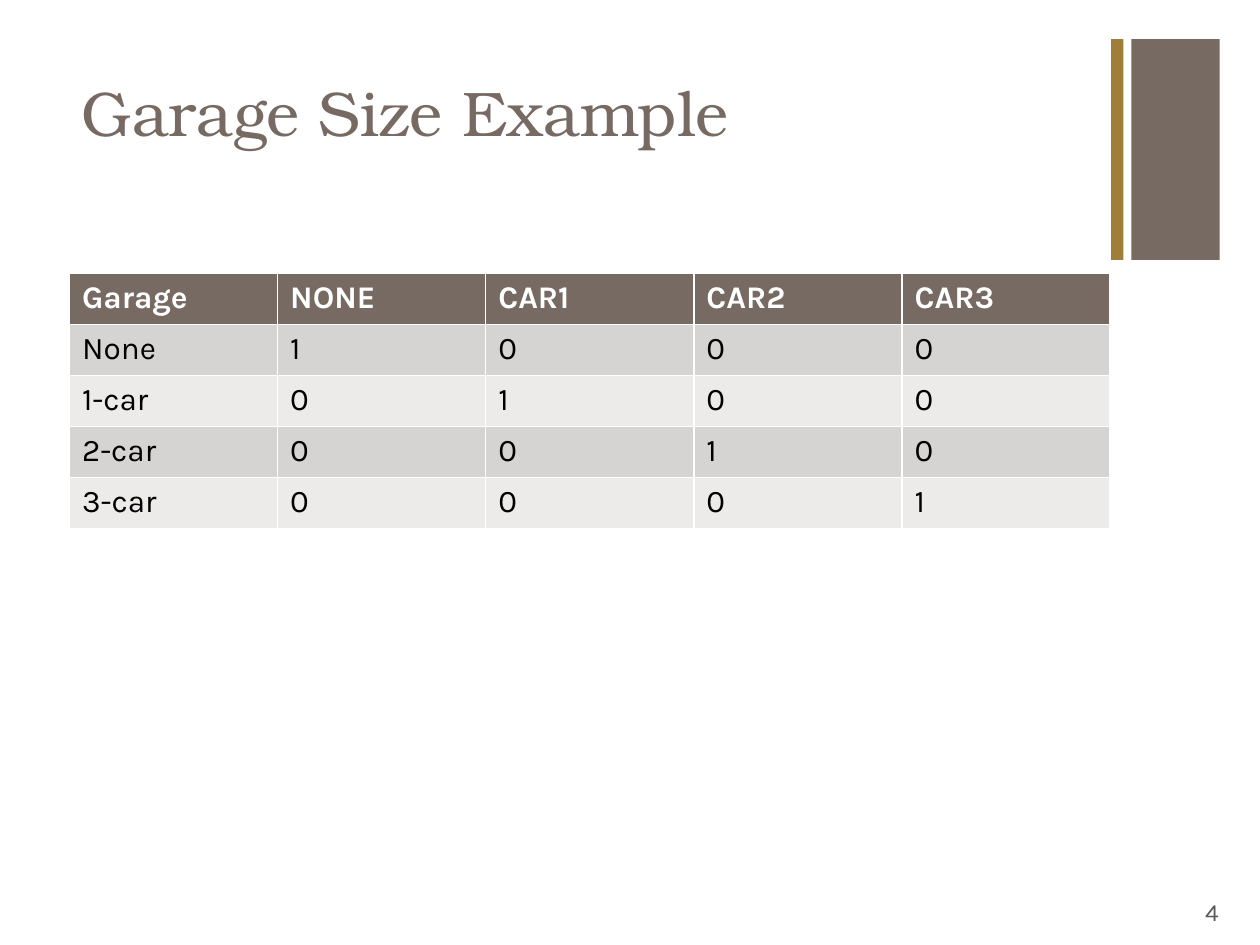
"""Build the garage size dummy-variable slide."""
from pptx import Presentation
from pptx.dml.color import RGBColor
from pptx.enum.shapes import MSO_SHAPE
from pptx.enum.text import MSO_ANCHOR, PP_ALIGN
from pptx.util import Cm, Pt


def paint(fmt, color):
    fmt.solid()
    fmt.fore_color.rgb = RGBColor.from_string(color)


def write(tf, text, size, name, color, bold=False):
    p = tf.paragraphs[0]
    p.text = text
    p.font.size = Pt(size)
    p.font.name = name
    p.font.bold = bold
    paint(p.font.fill, color)
    return p


prs = Presentation()
prs.slide_width, prs.slide_height = Cm(25.4), Cm(19.05)
s = prs.slides.add_slide(prs.slide_layouts[6])

for left, width, color in [(22.81, 1.78, "766A62"), (22.4, 0.25, "9E7E38")]:
    sp = s.shapes.add_shape(MSO_SHAPE.RECTANGLE, Cm(left), Cm(0.79), Cm(width), Cm(4.45))
    sp.shadow.inherit = False
    paint(sp.fill, color)
    sp.line.fill.background()

tf = s.shapes.add_textbox(Cm(1.4), Cm(1.35), Cm(20.98), Cm(3.1)).text_frame
tf.word_wrap = True
write(tf, "Garage Size Example", 36, "TeX Gyre Bonum", "766A62")

sizes = ["None", "1-car", "2-car", "3-car"]
rows = [["Garage", "NONE", "CAR1", "CAR2", "CAR3"]]
for i, size in enumerate(sizes):
    rows.append([size] + [str(int(i == j)) for j in range(len(sizes))])

table = s.shapes.add_table(len(rows), len(rows[0]), Cm(1.4), Cm(5.51), Cm(20.98), Cm(5.15)).table
for i, row in enumerate(rows):
    head = i == 0
    fill = "766A62" if head else ("ECEBEA", "D6D4D3")[i % 2]
    for j, text in enumerate(row):
        cell = table.cell(i, j)
        paint(cell.fill, fill)
        write(cell.text_frame, text, 18, "Karla", "FFFFFF" if head else "000000", head)

tf = s.shapes.add_textbox(Cm(23.27), Cm(17.86), Cm(1.55), Cm(1.02)).text_frame
tf.word_wrap = True
tf.vertical_anchor = MSO_ANCHOR.MIDDLE
write(tf, "4", 14, "Karla", "595959").alignment = PP_ALIGN.RIGHT

prs.save("out.pptx")
